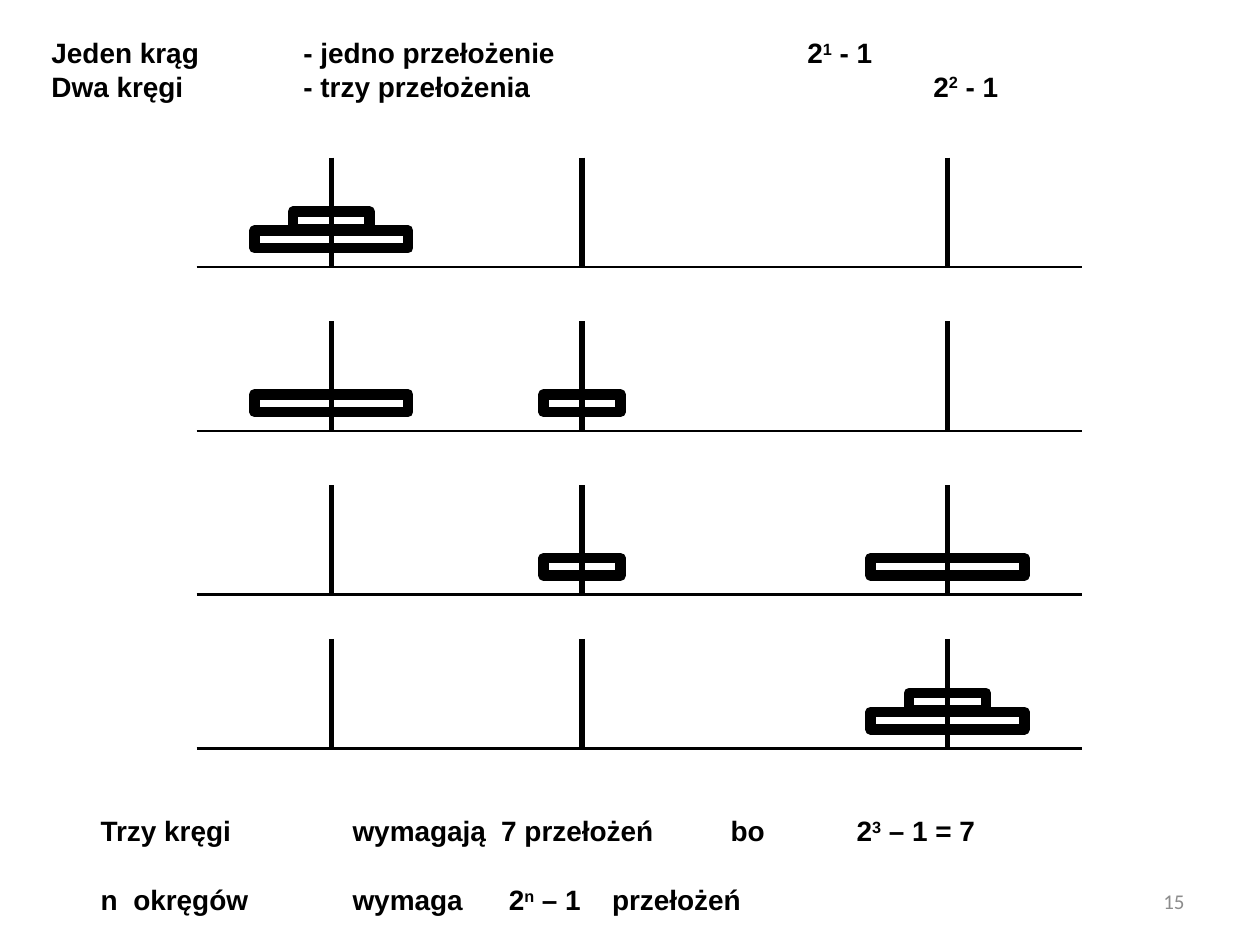
from dataclasses import dataclass

from lxml.etree import SubElement
from pptx import Presentation
from pptx.dml.color import RGBColor
from pptx.enum.shapes import MSO_CONNECTOR, MSO_SHAPE
from pptx.enum.text import MSO_ANCHOR, PP_ALIGN
from pptx.oxml.ns import qn
from pptx.util import Inches, Pt


@dataclass(frozen=True)
class Theme:
    ink: RGBColor = RGBColor(0, 0, 0)
    paper: RGBColor = RGBColor(255, 255, 255)
    muted: RGBColor = RGBColor(0x8C, 0x8C, 0x8C)
    body_font: str = "Arial"
    number_font: str = "Calibri"
    body_size: int = 16
    number_size: int = 12
    base_line: float = 1.5
    peg_line: float = 3
    disc_line: float = 6


PEGS = (2.63, 4.62, 7.52)
PEG_HEIGHT = 0.87
BASE_LEFT, BASE_RIGHT = 1.56, 8.59
LARGE, SMALL = 1.22, 0.61
DISC_HEIGHT, DISC_STEP, LOWEST_DISC = 0.14, 0.15, 0.29

# Base height, then the discs on each peg from the bottom up
STATES = (
    (2.12, ((LARGE, SMALL), (), ())),
    (3.42, ((LARGE,), (SMALL,), ())),
    (4.72, ((), (SMALL,), (LARGE,))),
    (5.94, ((), (), (LARGE, SMALL))),
)


def write(paragraph, text, *, font, size, color, bold=False,
          align=PP_ALIGN.LEFT, tabs=(), before=0):
    """Fill a paragraph; text between ^ marks is superscript, tabs are in inches."""
    paragraph.alignment = align
    paragraph.space_before = Pt(before)
    if tabs:
        stops = SubElement(paragraph._p.get_or_add_pPr(), qn("a:tabLst"))
        for position in tabs:
            SubElement(stops, qn("a:tab"), pos=str(Inches(position)), algn="l")
    for index, part in enumerate(text.split("^")):
        run = paragraph.add_run()
        run.text = part
        run.font.name = font
        run.font.size = Pt(size)
        run.font.bold = bold
        run.font.color.rgb = color
        if index % 2:
            run.font._element.set("baseline", "30000")


class SlideBuilder:
    def __init__(self, slide, theme):
        self.slide = slide
        self.theme = theme

    def textbox(self, left, top, width, height, lines, anchor=MSO_ANCHOR.MIDDLE, **style):
        """Add one paragraph for each (text, own format) pair in lines."""
        box = self.slide.shapes.add_textbox(
            Inches(left), Inches(top), Inches(width), Inches(height))
        frame = box.text_frame
        frame.word_wrap = True
        frame.vertical_anchor = anchor
        for index, (text, own) in enumerate(lines):
            paragraph = frame.add_paragraph() if index else frame.paragraphs[0]
            write(paragraph, text, **{**style, **own})

    def line(self, group, start, end, weight):
        line = group.shapes.add_connector(
            MSO_CONNECTOR.STRAIGHT, *(Inches(value) for value in (*start, *end)))
        line.line.color.rgb = self.theme.ink
        line.line.width = Pt(weight)
        SubElement(line._element.spPr, qn("a:effectLst"))

    def disc(self, group, center, top, width):
        disc = group.shapes.add_shape(
            MSO_SHAPE.RECTANGLE, Inches(center - width / 2), Inches(top),
            Inches(width), Inches(DISC_HEIGHT))
        disc.shadow.inherit = False
        disc.fill.solid()
        disc.fill.fore_color.rgb = self.theme.paper
        disc.line.color.rgb = self.theme.ink
        disc.line.width = Pt(self.theme.disc_line)

    def hanoi_state(self, base, stacks):
        group = self.slide.shapes.add_group_shape()
        self.line(group, (BASE_LEFT, base), (BASE_RIGHT, base), self.theme.base_line)
        for peg, stack in zip(PEGS, stacks):
            for level, width in enumerate(stack):
                self.disc(group, peg, base - LOWEST_DISC - level * DISC_STEP, width)
            self.line(group, (peg, base - PEG_HEIGHT), (peg, base), self.theme.peg_line)


def main():
    deck = Presentation()
    deck.slide_width, deck.slide_height = Inches(10), Inches(7.5)
    theme = Theme()
    builder = SlideBuilder(deck.slides.add_slide(deck.slide_layouts[6]), theme)
    body = dict(font=theme.body_font, size=theme.body_size, color=theme.ink, bold=True)

    builder.textbox(0.7, 6.41, 7.73, 1.25, (
        ("Trzy kręgi\twymagają\t7 przełożeń\tbo\t2^3^ – 1 = 7",
         dict(tabs=(2, 3.18, 5, 6))),
        ("n\tokręgów\twymaga\t2^n^ – 1\tprzełożeń",
         dict(tabs=(0.26, 2, 3.24, 4.06), before=20)),
    ), anchor=MSO_ANCHOR.TOP, **body)
    builder.textbox(0.31, 0.23, 8.98, 0.64, (
        ("Jeden krąg\t- jedno przełożenie\t2^1^ - 1", dict(tabs=(2, 6))),
        ("Dwa kręgi\t- trzy przełożenia\t2^2^ - 1", dict(tabs=(2, 7))),
    ), align=PP_ALIGN.JUSTIFY, **body)

    for base, stacks in STATES:
        builder.hanoi_state(base, stacks)

    builder.textbox(7.17, 6.95, 2.33, 0.4, (("15", {}),), font=theme.number_font,
                    size=theme.number_size, color=theme.muted, align=PP_ALIGN.RIGHT)
    deck.save("out.pptx")


if __name__ == "__main__":
    main()
